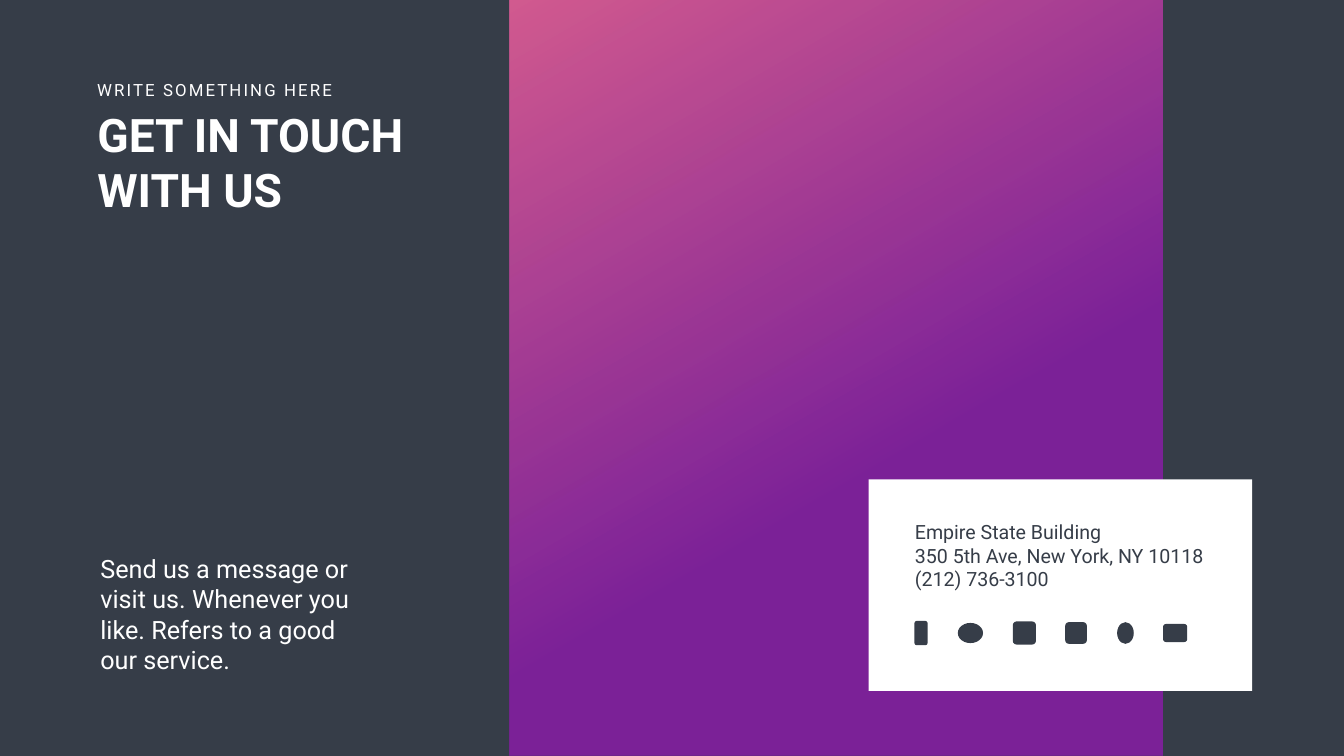
from lxml import etree
from pptx import Presentation
from pptx.dml.color import RGBColor
from pptx.enum.shapes import MSO_SHAPE
from pptx.enum.text import MSO_ANCHOR, MSO_AUTO_SIZE, PP_ALIGN
from pptx.oxml.ns import qn
from pptx.util import Inches, Pt

RECTANGLE = MSO_SHAPE.RECTANGLE
ROUNDED = MSO_SHAPE.ROUNDED_RECTANGLE
OVAL = MSO_SHAPE.OVAL
LEFT = PP_ALIGN.LEFT
TOP = MSO_ANCHOR.TOP
NO_AUTOFIT = MSO_AUTO_SIZE.NONE

COLORS = {
    "slate": "363D48",
    "white": "FFFFFF",
    "pink": "F761A0",
    "purple": "8C1BAB",
}


def add_plain_shape(kind, left, top, width, height, color):
    shape = slide.shapes.add_shape(
        kind, Inches(left), Inches(top), Inches(width), Inches(height))
    shape.shadow.inherit = False
    shape.line.fill.background()
    shape.fill.solid()
    shape.fill.fore_color.rgb = RGBColor.from_string(COLORS[color])
    return shape


def write_text(shape, box, lines, color, wrap=True, spacing=None, **font_values):
    """Place a text shape and fill it with one paragraph per line."""
    shape.left, shape.top, shape.width, shape.height = map(Inches, box)
    frame = shape.text_frame
    frame.text = "\n".join(lines)
    frame.auto_size = NO_AUTOFIT
    frame.word_wrap = wrap
    frame.vertical_anchor = TOP
    for paragraph in frame.paragraphs:
        properties = paragraph._p.get_or_add_pPr()
        properties.set("marL", "0")
        properties.set("indent", "0")
        etree.SubElement(properties, qn("a:buNone"))
        paragraph.alignment = LEFT
        paragraph.space_before = Pt(0)
        for run in paragraph.runs:
            run.font.name = "Roboto"
            run.font.color.rgb = RGBColor.from_string(COLORS[color])
            for name, value in font_values.items():
                setattr(run.font, name, value)
            if spacing:
                run._r.get_or_add_rPr().set("spc", str(spacing * 100))


presentation = Presentation()
presentation.slide_width = Inches(26.66)
presentation.slide_height = Inches(15)
slide = presentation.slides.add_slide(presentation.slide_layouts[1])
slide.background.fill.solid()
slide.background.fill.fore_color.rgb = RGBColor.from_string(COLORS["slate"])

# Heading
write_text(slide.shapes.title, (1.83, 2.05, 8.28, 2.32),
           ["GET IN TOUCH WITH US"], "white", size=Pt(66), bold=True)
kicker = slide.shapes.add_textbox(0, 0, 0, 0)
write_text(kicker, (1.83, 1.54, 5, 0.5), ["WRITE SOMETHING HERE"], "white",
           wrap=False, spacing=3, size=Pt(24))

# Translucent gradient panel
panel = add_plain_shape(RECTANGLE, 10.11, 0, 12.96, 15, "purple")
panel.fill.gradient()
panel.fill.gradient_angle = 300
for stop, position, color in zip(panel.fill.gradient_stops, (0, 0.6), ("pink", "purple")):
    stop.position = position
    stop.color.rgb = RGBColor.from_string(COLORS[color])
for color_element in panel.fill._xPr.iter(qn("a:srgbClr")):
    etree.SubElement(color_element, qn("a:alpha"), val="80000")

# Contact card with a row of plain social markers
add_plain_shape(RECTANGLE, 17.23, 9.51, 7.61, 4.2, "white")
MARKER_MIDDLE = 12.56
markers = [
    (ROUNDED, 18.14, 0.26, 0.48),
    (OVAL, 19, 0.5, 0.4),
    (ROUNDED, 20.09, 0.46, 0.46),
    (ROUNDED, 21.13, 0.43, 0.43),
    (OVAL, 22.16, 0.33, 0.43),
    (ROUNDED, 23.07, 0.48, 0.36),
]
for kind, left, width, height in markers:
    add_plain_shape(kind, left, MARKER_MIDDLE - height / 2, width, height, "slate")

address = slide.shapes.add_textbox(0, 0, 0, 0)
write_text(address, (18.05, 10.27, 5.97, 1.51),
           ["Empire State Building", "350 5th Ave, New York, NY 10118", "(212) 736-3100"],
           "slate", wrap=False, size=Pt(28))

# Message
write_text(slide.placeholders[1], (1.89, 10.93, 5.7, 2.52),
           ["Send us a message or visit us. Whenever you like. Refers to a good our service."],
           "white", size=Pt(36))

presentation.save("out.pptx")
